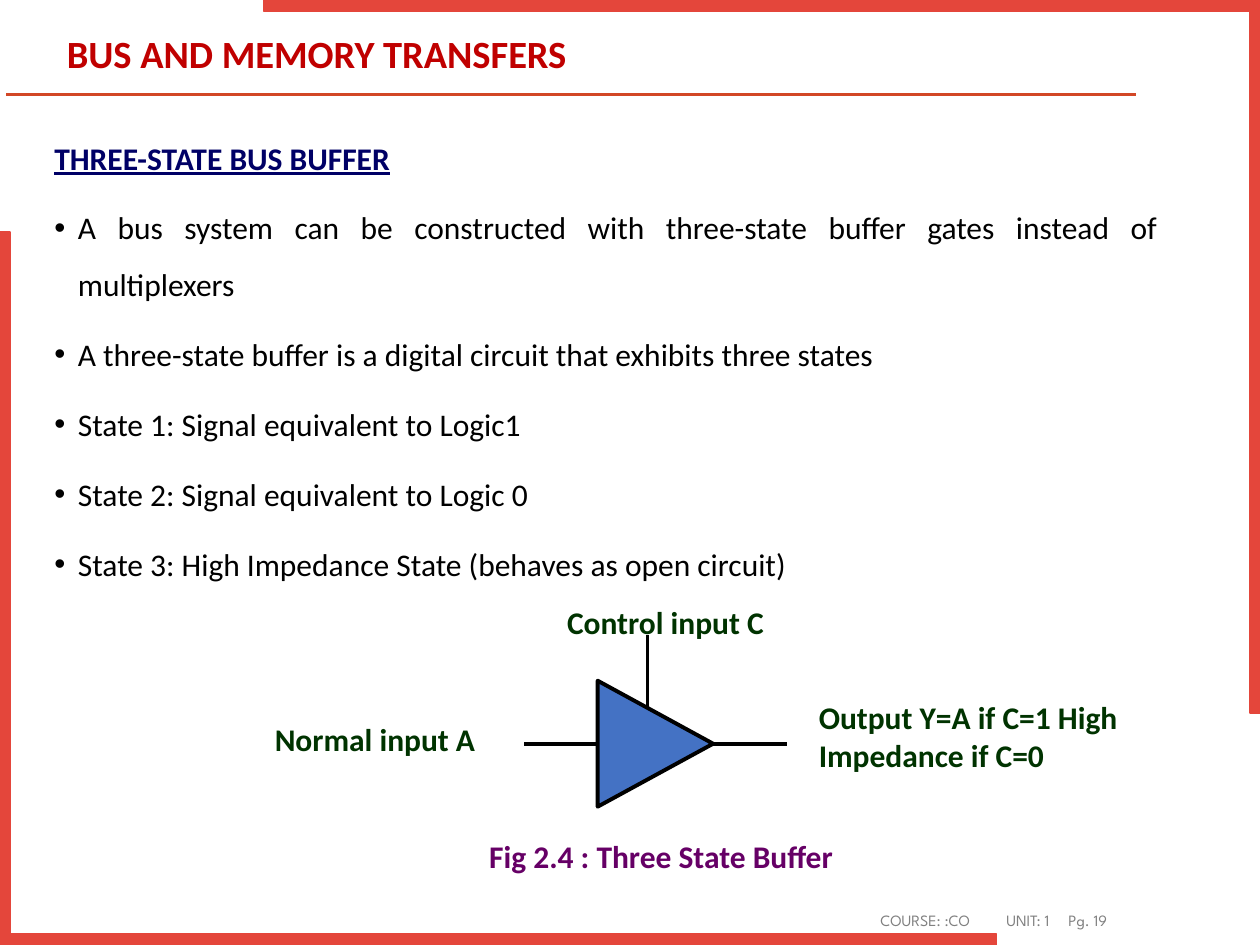
import pptx
import pptx.util
import pptx.dml.color
import pptx.enum.shapes
import pptx.enum.text
import pptx.oxml.ns
from lxml import etree

Pt = pptx.util.Pt
RGBColor = pptx.dml.color.RGBColor
Shape = pptx.enum.shapes.MSO_SHAPE
Align = pptx.enum.text.PP_ALIGN
Anchor = pptx.enum.text.MSO_ANCHOR
AutoSize = pptx.enum.text.MSO_AUTO_SIZE
qn = pptx.oxml.ns.qn

RED = RGBColor(0xE4, 0x46, 0x3B)
RULE = RGBColor(0xD2, 0x47, 0x26)
TITLE = RGBColor(0xC0, 0x00, 0x00)
NAVY = RGBColor(0x00, 0x00, 0x66)
GREEN = RGBColor(0x00, 0x33, 0x00)
PURPLE = RGBColor(0x66, 0x00, 0x66)
GREY = RGBColor(0x80, 0x80, 0x80)
BLUE = RGBColor(0x44, 0x72, 0xC4)
BLACK = RGBColor(0x00, 0x00, 0x00)

HANG = 13.5
WIRE = 2.25
LABEL_GAP = 41
BULLETS = [
    "A bus system can be constructed with three-state buffer gates instead of multiplexers",
    "A three-state buffer is a digital circuit that exhibits three states",
    "State 1: Signal equivalent to Logic1",
    "State 2: Signal equivalent to Logic 0",
    "State 3: High Impedance State (behaves as open circuit)",
]
LABELS = [
    ("Control input C", 293, 7.5, GREEN),
    ("Normal input A", 126, LABEL_GAP, GREEN),
    ("Fig 2.4 : Three State Buffer", 248.5, LABEL_GAP, PURPLE),
]
WIRES = [
    ((407.5, 425), (449.5, 425)),
    ((299.5, 425), (341.5, 425)),
    ((370, 405), (370, 363)),
]


def apply_format(target, values):
    for name, value in values.items():
        setattr(target, name, value)


class SlideBuilder:
    def __init__(self, page):
        self.page = page
        self.font = {"name": "Calibri", "size": Pt(18), "bold": False}

    def add_text(self, para, text, color, font=None, layout=None):
        span = para.add_run()
        span.text = text
        apply_format(span.font, {**self.font, **(font or {})})
        span.font.color.rgb = color
        apply_format(para, layout or {})

    def indent(self, para, left, first, bullet=None):
        properties = para._p.get_or_add_pPr()
        properties.set("marL", str(Pt(left)))
        properties.set("indent", str(Pt(first)))
        if bullet:
            etree.SubElement(properties, qn("a:buChar"), char=bullet)
        else:
            etree.SubElement(properties, qn("a:buNone"))

    def tab_stops(self, para, stops):
        tabs = etree.SubElement(para._p.get_or_add_pPr(), qn("a:tabLst"))
        for stop in stops:
            etree.SubElement(tabs, qn("a:tab"), pos=str(Pt(stop)), algn="l")

    def place(self, box, left, top, width, height, anchor=Anchor.TOP):
        apply_format(box, {"left": Pt(left), "top": Pt(top), "width": Pt(width), "height": Pt(height)})
        apply_format(box.text_frame, {"word_wrap": True, "auto_size": AutoSize.NONE, "vertical_anchor": anchor})
        return box.text_frame

    def text_box(self, left, top, width, height):
        box = self.page.shapes.add_textbox(0, 0, 0, 0)
        return self.place(box, left, top, width, height).paragraphs[0]

    def shape(self, kind, left, top, width, height, fill, line, weight, rotation=0, adjustments=()):
        item = self.page.shapes.add_shape(kind, Pt(left), Pt(top), Pt(width), Pt(height))
        item.rotation = rotation
        item.shadow.inherit = False
        for index, value in enumerate(adjustments):
            item.adjustments[index] = value
        item.fill.solid()
        item.fill.fore_color.rgb = fill
        item.line.color.rgb = line
        item.line.width = Pt(weight)
        return item

    def line(self, start, end, color, weight):
        item = self.page.shapes.add_connector(
            pptx.enum.shapes.MSO_CONNECTOR.STRAIGHT, *[Pt(value) for value in (*start, *end)])
        item.line.color.rgb = color
        item.line.width = Pt(weight)
        etree.SubElement(item._element.spPr, qn("a:effectLst"))
        return item

    def frame(self):
        self.line((3.6, 54), (649, 54), RULE, 2)
        for left, top, rotation in ((151, 0, 180), (0, 132.5, 0)):
            self.shape(Shape.CORNER, left, top, 569, 407.5, RED, RED, 1, rotation, (0.016, 0.014))

    def title(self, text):
        frame = self.place(self.page.shapes.title, 31, 14.4, 538.5, 35.3, Anchor.MIDDLE)
        self.add_text(frame.paragraphs[0], text, TITLE, {"size": Pt(22), "bold": True},
                      {"alignment": Align.LEFT, "line_spacing": 0.9})

    def body(self, heading):
        frame = self.place(self.page.placeholders[1], 23.8, 71.3, 645, 439)
        spacing = {"alignment": Align.LEFT, "line_spacing": 1.2, "space_before": Pt(7.5)}
        para = frame.paragraphs[0]
        self.add_text(para, heading, NAVY, {"bold": True, "underline": True}, spacing)
        self.indent(para, HANG, -HANG)
        for text in BULLETS:
            para = frame.add_paragraph()
            self.add_text(para, text, BLACK, layout={**spacing, "alignment": Align.JUSTIFY, "line_spacing": 1.5})
            self.indent(para, HANG, -HANG, "•")
        for text, left, before, color in LABELS:
            para = frame.add_paragraph()
            self.add_text(para, text, color, {"bold": True}, {**spacing, "space_before": Pt(before)})
            self.indent(para, left, 0)

    def buffer_gate(self):
        gate = self.shape(Shape.ISOSCELES_TRIANGLE, 338.5, 392, 72, 66, BLUE, BLACK, WIRE, 90)
        wires = [self.line(start, end, BLACK, WIRE) for start, end in WIRES]
        self.page.shapes.add_group_shape([gate, *wires])

    def output_label(self, text):
        self.add_text(self.text_box(460.8, 395.3, 213, 94), text, GREEN, {"bold": True})

    def footer(self, text):
        para = self.text_box(496, 517, 180, 16)
        self.add_text(para, text, GREY, {"name": "League Spartan", "size": Pt(9)}, {"space_after": Pt(6)})
        self.tab_stops(para, (72, 107.5))


def main():
    deck = pptx.Presentation()
    apply_format(deck, {"slide_width": Pt(720), "slide_height": Pt(540)})
    builder = SlideBuilder(deck.slides.add_slide(deck.slide_layouts[1]))
    builder.frame()
    builder.footer("COURSE: :CO\tUNIT: 1\tPg. 19")
    builder.body("THREE-STATE BUS BUFFER")
    builder.title("BUS AND MEMORY TRANSFERS")
    builder.buffer_gate()
    builder.output_label("Output Y=A if C=1 High Impedance if C=0")
    deck.save("out.pptx")


if __name__ == "__main__":
    main()
